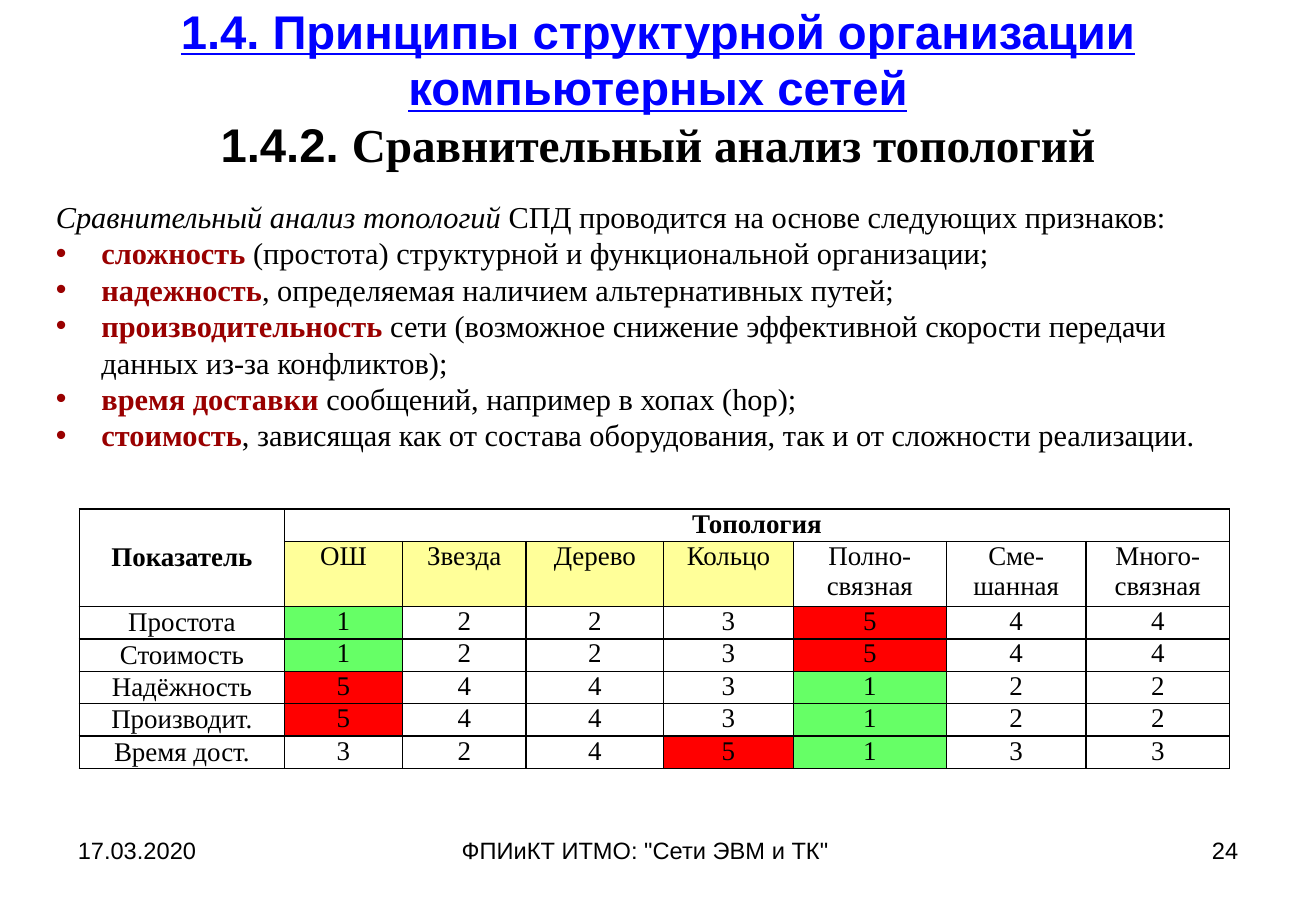
from copy import deepcopy
from lxml.etree import SubElement
from pptx import Presentation
from pptx.dml.color import RGBColor
from pptx.enum.text import MSO_ANCHOR, MSO_AUTO_SIZE, PP_ALIGN
from pptx.oxml.ns import qn
from pptx.util import Pt

COLORS = {"black": "000000", "blue": "0000FF", "dark": "990000",
          "yellow": "FFFF99", "green": "66FF66", "red": "FF0000"}
SANS = "Arial"
SERIF = "Times New Roman"
MARKS = {"1": "green", "5": "red"}
TRAITS = [
    ("сложность", " (простота) структурной и функциональной организации;"),
    ("надежность", ", определяемая наличием альтернативных путей;"),
    ("производительность", " сети (возможное снижение эффективной скорости "
     "передачи данных из-за конфликтов);"),
    ("время доставки", " сообщений, например в хопах (hop);"),
    ("стоимость", ", зависящая как от состава оборудования, так и от "
     "сложности реализации."),
]
NETS = ["ОШ", "Звезда", "Дерево", "Кольцо",
        "Полно-связная", "Сме-шанная", "Много-связная"]
SCORES = [("Простота", "1223544"), ("Стоимость", "1223544"),
          ("Надёжность", "5443122"), ("Производит.", "5443122"),
          ("Время дост.", "3245133")]
WIDTHS = [121.7, 69.8, 73.4, 81.4, 77, 90.7, 82.8, 85]
HEIGHTS = [19.2, 38.2] + [19.2] * len(SCORES)


def color(name):
    return RGBColor.from_string(COLORS[name])


def add_run(para, text, size, face, tint="black", bold=False,
            slant=False, under=False):
    run = para.add_run()
    run.text = text
    font = run.font
    font.size, font.name = Pt(size), face
    font.bold, font.italic, font.underline = bold, slant, under
    font.color.rgb = color(tint)
    return run


def add_box(slide, left, top, width, height):
    box = slide.shapes.add_textbox(Pt(left), Pt(top), Pt(width), Pt(height))
    box.text_frame.word_wrap = True
    return box.text_frame


def add_title(slide):
    title = slide.shapes.title
    title.left, title.top = Pt(39), Pt(6.5)
    title.width, title.height = Pt(702), Pt(90)
    frame = title.text_frame
    frame.word_wrap = True
    frame.auto_size = MSO_AUTO_SIZE.NONE
    frame.vertical_anchor = MSO_ANCHOR.MIDDLE
    para = frame.paragraphs[0]
    para.alignment = PP_ALIGN.CENTER
    head = add_run(para, "1.4. Принципы структурной организации "
                   "компьютерных сетей", 28, SANS, "blue", True, under=True)
    para.add_line_break()
    para._p.find(qn("a:br")).append(deepcopy(head.font._rPr))
    add_run(para, "1.4.2. ", 28, SANS, bold=True)
    add_run(para, "Сравнительный анализ топологий", 28, SERIF, bold=True)


def indent(para, bullet):
    props = para._p.get_or_add_pPr()
    props.set("marL", str(Pt(27)))
    props.set("indent", str(-Pt(27)))
    if bullet:
        SubElement(props, qn("a:buFont"), typeface=SANS)
        SubElement(props, qn("a:buChar"), char="•")
    else:
        SubElement(props, qn("a:buNone"))


def add_traits(slide):
    frame = add_box(slide, 26, 113.8, 724.5, 160)
    para = frame.paragraphs[0]
    indent(para, False)
    add_run(para, "Сравнительный анализ топологий ", 18, SERIF, slant=True)
    add_run(para, "СПД проводится на основе следующих признаков:", 18, SERIF)
    for term, rest in TRAITS:
        para = frame.add_paragraph()
        indent(para, True)
        add_run(para, term, 18, SERIF, "dark", True)
        add_run(para, rest, 18, SERIF)


def style_cell(cell, side):
    cell.margin_top = cell.margin_bottom = 0
    cell.margin_left = cell.margin_right = Pt(0 if side else 5)
    cell.vertical_anchor = MSO_ANCHOR.MIDDLE if side else MSO_ANCHOR.TOP
    props = cell._tc.get_or_add_tcPr()
    for edge in ("a:lnL", "a:lnR", "a:lnT", "a:lnB"):
        line = SubElement(props, qn(edge), w=str(Pt(1)))
        fill = SubElement(line, qn("a:solidFill"))
        SubElement(fill, qn("a:srgbClr"), val=COLORS["black"])
    cell.fill.background()


def fill_cell(cell, text, tint=None, bold=False):
    para = cell.text_frame.paragraphs[0]
    para.alignment = PP_ALIGN.CENTER
    add_run(para, text, 16, SERIF, bold=bold)
    if tint:
        cell.fill.solid()
        cell.fill.fore_color.rgb = color(tint)


def add_grid(slide):
    table = slide.shapes.add_table(
        len(HEIGHTS), len(WIDTHS), Pt(47), Pt(301.8),
        Pt(sum(WIDTHS)), Pt(sum(HEIGHTS))).table
    table.first_row = table.horz_banding = False
    for col, width in zip(table.columns, WIDTHS):
        col.width = Pt(width)
    for row, height in zip(table.rows, HEIGHTS):
        row.height = Pt(height)
        for index, cell in enumerate(row.cells):
            style_cell(cell, index == 0)
    table.cell(0, 0).merge(table.cell(1, 0))
    table.cell(0, 1).merge(table.cell(0, len(NETS)))
    fill_cell(table.cell(0, 0), "Показатель", bold=True)
    fill_cell(table.cell(0, 1), "Топология", bold=True)
    for c, net in enumerate(NETS, 1):
        fill_cell(table.cell(1, c), net, "yellow" if c <= 4 else None)
    for r, (name, marks) in enumerate(SCORES, 2):
        fill_cell(table.cell(r, 0), name)
        for c, mark in enumerate(marks, 1):
            fill_cell(table.cell(r, c), mark, MARKS.get(mark))


def add_foot(slide, left, width, text, align=PP_ALIGN.LEFT):
    para = add_box(slide, left, 491.8, width, 37.5).paragraphs[0]
    para.alignment = align
    add_run(para, text, 14, SANS)


def main():
    deck = Presentation()
    deck.slide_width, deck.slide_height = Pt(780), Pt(540)
    slide = deck.slides.add_slide(deck.slide_layouts[5])
    add_foot(slide, 39, 182, "17.03.2020")
    add_foot(slide, 266.5, 247, 'ФПИиКТ ИТМО: "Сети ЭВМ и ТК"')
    add_foot(slide, 559, 182, "24", PP_ALIGN.RIGHT)
    add_title(slide)
    add_traits(slide)
    add_grid(slide)
    deck.save("out.pptx")


main()
